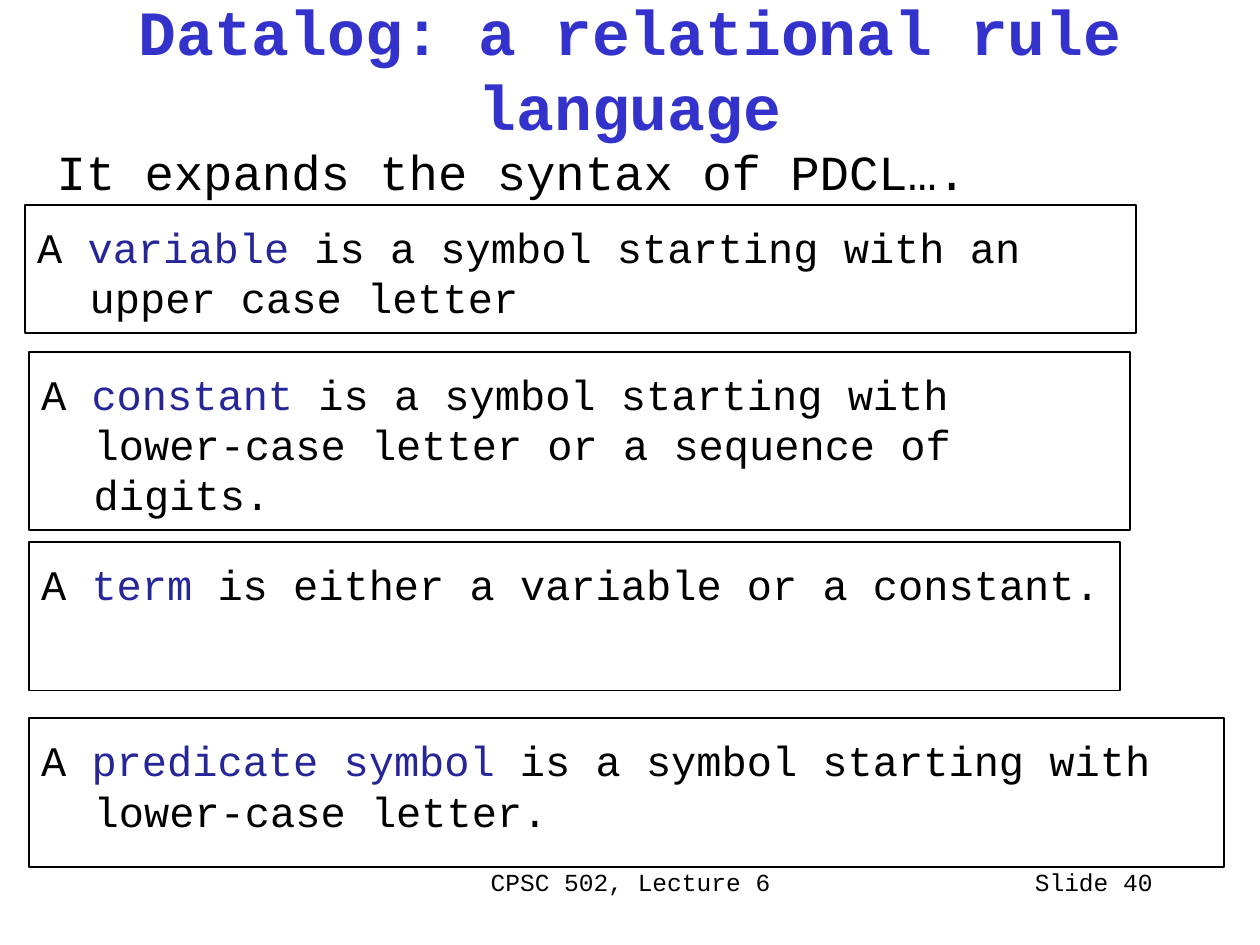
from dataclasses import dataclass

import pptx
import pptx.dml.color
import pptx.enum.shapes
import pptx.enum.text
import pptx.util

Cm = pptx.util.Cm
Align = pptx.enum.text.PP_ALIGN
Anchor = pptx.enum.text.MSO_ANCHOR

COLORS = {"text": "000000", "title": "3333CC", "term": "262699", "box": "FFFFFF"}
FONT = "Courier New"


@dataclass
class Area:
    left: float
    top: float
    width: float
    height: float

    def lengths(self) -> list:
        return [Cm(v) for v in (self.left, self.top, self.width, self.height)]


@dataclass
class Label:
    text: str
    area: Area
    size: int
    align: Align = Align.LEFT
    anchor: Anchor = Anchor.TOP
    color: str = "text"
    bold: bool = False
    hanging: float = 0
    inset_top: float = 0.13


@dataclass
class Definition:
    term: str
    meaning: str
    area: Area


LABELS = [
    Label("CPSC 502, Lecture 6", Area(8.69, 17.35, 8.05, 1.27), 14, Align.CENTER),
    Label("Slide 40", Area(18.21, 17.35, 5.28, 1.27), 14, Align.RIGHT),
    Label("Datalog: a relational rule language", Area(0.85, 0.42, 23.7, 1.9), 36,
          Align.CENTER, Anchor.MIDDLE, "title", True),
    Label("It expands the syntax of PDCL….", Area(0.89, 2.51, 23.5, 3.2), 28,
          hanging=0.97, inset_top=0.35),
]

DEFINITIONS = [
    Definition("variable", "is a symbol starting with an upper case letter",
               Area(0.5, 4.13, 22.4, 2.59)),
    Definition("constant",
               "is a symbol starting with lower-case letter or a sequence of digits.",
               Area(0.58, 7.09, 22.2, 3.6)),
    Definition("term", "is either a variable or a constant.",
               Area(0.58, 10.92, 22, 3)),
    Definition("predicate symbol", "is a symbol starting with lower-case letter.",
               Area(0.58, 14.48, 24.1, 3)),
]


def rgb(name: str) -> pptx.dml.color.RGBColor:
    return pptx.dml.color.RGBColor.from_string(COLORS[name])


def set_values(target, values: dict) -> None:
    for name, value in values.items():
        setattr(target, name, value)


def add_run(paragraph, text: str, size: int, color: str, bold: bool = False) -> None:
    run = paragraph.add_run()
    run.text = text
    set_values(run.font, {"name": FONT, "size": pptx.util.Pt(size), "bold": bold})
    run.font.color.rgb = rgb(color)


def format_frame(frame, align: Align, anchor: Anchor, inset_top: float, hanging: float):
    """Lay out the frame and return its first paragraph, with a hanging indent if any."""
    set_values(frame, {
        "word_wrap": True, "vertical_anchor": anchor, "margin_top": Cm(inset_top),
        "margin_bottom": Cm(0.13), "margin_left": Cm(0.25), "margin_right": Cm(0.25),
    })
    paragraph = frame.paragraphs[0]
    paragraph.alignment = align
    if hanging:
        properties = paragraph._p.get_or_add_pPr()
        properties.set("marL", str(Cm(hanging)))
        properties.set("indent", str(-Cm(hanging)))
    return paragraph


def add_label(slide, label: Label) -> None:
    frame = slide.shapes.add_textbox(*label.area.lengths()).text_frame
    paragraph = format_frame(frame, label.align, label.anchor, label.inset_top, label.hanging)
    add_run(paragraph, label.text, label.size, label.color, label.bold)


def add_definition(slide, definition: Definition) -> None:
    box = slide.shapes.add_shape(
        pptx.enum.shapes.MSO_SHAPE.RECTANGLE, *definition.area.lengths())
    box.shadow.inherit = False
    box.fill.solid()
    box.fill.fore_color.rgb = rgb("box")
    box.line.color.rgb = rgb("text")
    box.line.width = pptx.util.Pt(1)
    paragraph = format_frame(box.text_frame, Align.LEFT, Anchor.TOP, 0.33, 1.06)
    for text, color in (("A ", "text"), (definition.term, "term"),
                        (f" {definition.meaning}", "text")):
        add_run(paragraph, text, 24, color)


def main() -> None:
    deck = pptx.Presentation()
    set_values(deck, {"slide_width": Cm(25.4), "slide_height": Cm(19.05)})
    slide = deck.slides.add_slide(deck.slide_layouts[6])
    for label in LABELS:
        add_label(slide, label)
    for definition in DEFINITIONS:
        add_definition(slide, definition)
    deck.save("out.pptx")


if __name__ == "__main__":
    main()
